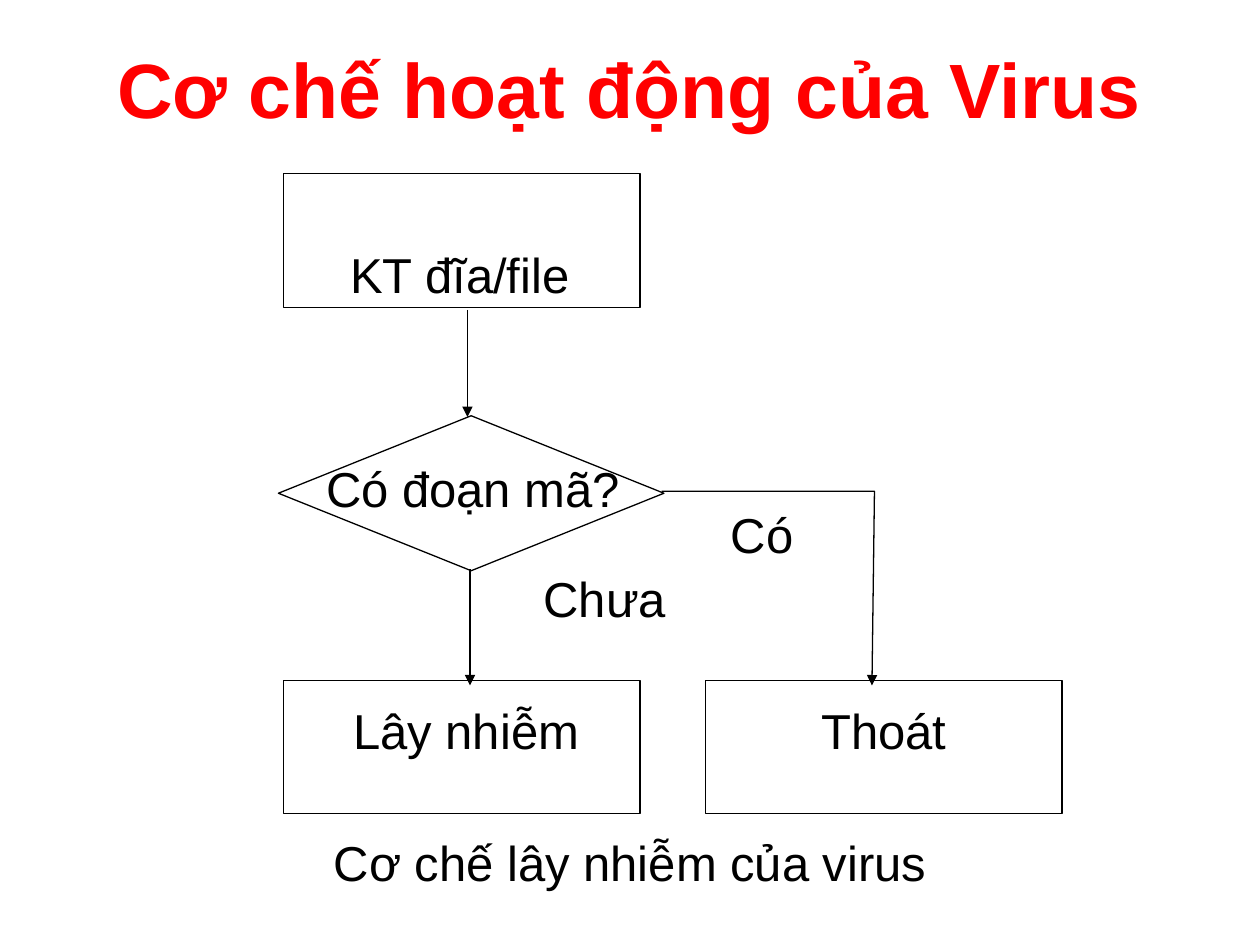
from lxml import etree
from pptx import Presentation
from pptx.dml.color import RGBColor
from pptx.enum import shapes, text
from pptx.oxml.ns import qn
from pptx.util import Inches, Pt

BLACK = RGBColor(0, 0, 0)
RED = RGBColor(255, 0, 0)
TOP, MIDDLE, BOTTOM = (text.MSO_ANCHOR.TOP, text.MSO_ANCHOR.MIDDLE,
                       text.MSO_ANCHOR.BOTTOM)


def write(sp, words, anchor=TOP, size=28, color=BLACK, bold=False, **margins):
    """Put one centred, unwrapped line in a shape; margins are in inches."""
    tf = sp.text_frame
    tf.word_wrap = False
    tf.vertical_anchor = anchor
    for side in ("left", "top", "right", "bottom"):
        setattr(tf, "margin_" + side, Inches(margins.get(side, 0)))
    p = tf.paragraphs[0]
    p.alignment = text.PP_ALIGN.CENTER
    r = p.add_run()
    r.text = words
    font = {"name": "Arial", "size": Pt(size), "bold": bold}
    for key, value in font.items():
        setattr(r.font, key, value)
    r.font.color.rgb = color


def outline(sp, arrow=False):
    """Give a thin black line without shadow, with an optional arrowhead."""
    sp.line.color.rgb = BLACK
    sp.line.width = Pt(0.75)
    if arrow:
        ln = sp.line._get_or_add_ln()
        etree.SubElement(ln, qn("a:tailEnd"), type="triangle")
    etree.SubElement(sp._element.spPr, qn("a:effectLst"))


prs = Presentation()
prs.slide_width, prs.slide_height = Inches(10), Inches(7.5)
s = prs.slides.add_slide(prs.slide_layouts[6])

# Title, branch labels and caption
labels = [
    ("Cơ chế hoạt động của Virus", 0.5, 0.3, 9, 0.79,
     {"anchor": MIDDLE, "size": 44, "color": RED, "bold": True}),
    ("Có", 5.55, 4, 1, 0.45, {}),
    ("Chưa", 4.3, 4.51, 1, 0.45, {}),
    ("Cơ chế lây nhiễm của virus", 0.5, 6.61, 9, 0.45, {}),
]
for words, x, y, w, h, style in labels:
    write(s.shapes.add_textbox(Inches(x), Inches(y), Inches(w), Inches(h)),
          words, **style)

# Flowchart steps
RECT = shapes.MSO_SHAPE.RECTANGLE
DECISION = shapes.MSO_SHAPE.FLOWCHART_DECISION
steps = [
    (RECT, "KT đĩa/file", 2.25, 1.38, 2.83, 1.06,
     {"anchor": BOTTOM, "bottom": 0.03, "right": 0.03}),
    (DECISION, "Có đoạn mã?", 2.21, 3.3, 3.06, 1.23,
     {"anchor": MIDDLE, "bottom": 0.08, "left": 0.03}),
    (RECT, "Lây nhiễm", 2.25, 5.4, 2.83, 1.06, {"top": 0.16, "left": 0.07}),
    (RECT, "Thoát", 5.6, 5.4, 2.83, 1.06, {"top": 0.16}),
]
for kind, words, x, y, w, h, style in steps:
    sp = s.shapes.add_shape(kind, Inches(x), Inches(y), Inches(w), Inches(h))
    sp.fill.background()
    outline(sp)
    write(sp, words, **style)

# Arrows
for x, y1, y2 in [(3.71, 2.46, 3.31), (3.73, 4.52, 5.44)]:
    arrow = s.shapes.add_connector(shapes.MSO_CONNECTOR.STRAIGHT,
                                   Inches(x), Inches(y1), Inches(x), Inches(y2))
    outline(arrow, arrow=True)

fb = s.shapes.build_freeform(Inches(5.25), Inches(3.9))
fb.add_line_segments([(Inches(6.94), Inches(3.9)), (Inches(6.92), Inches(5.44))],
                     close=False)
exit_arrow = fb.convert_to_shape()
exit_arrow.fill.background()
outline(exit_arrow, arrow=True)

prs.save("out.pptx")
